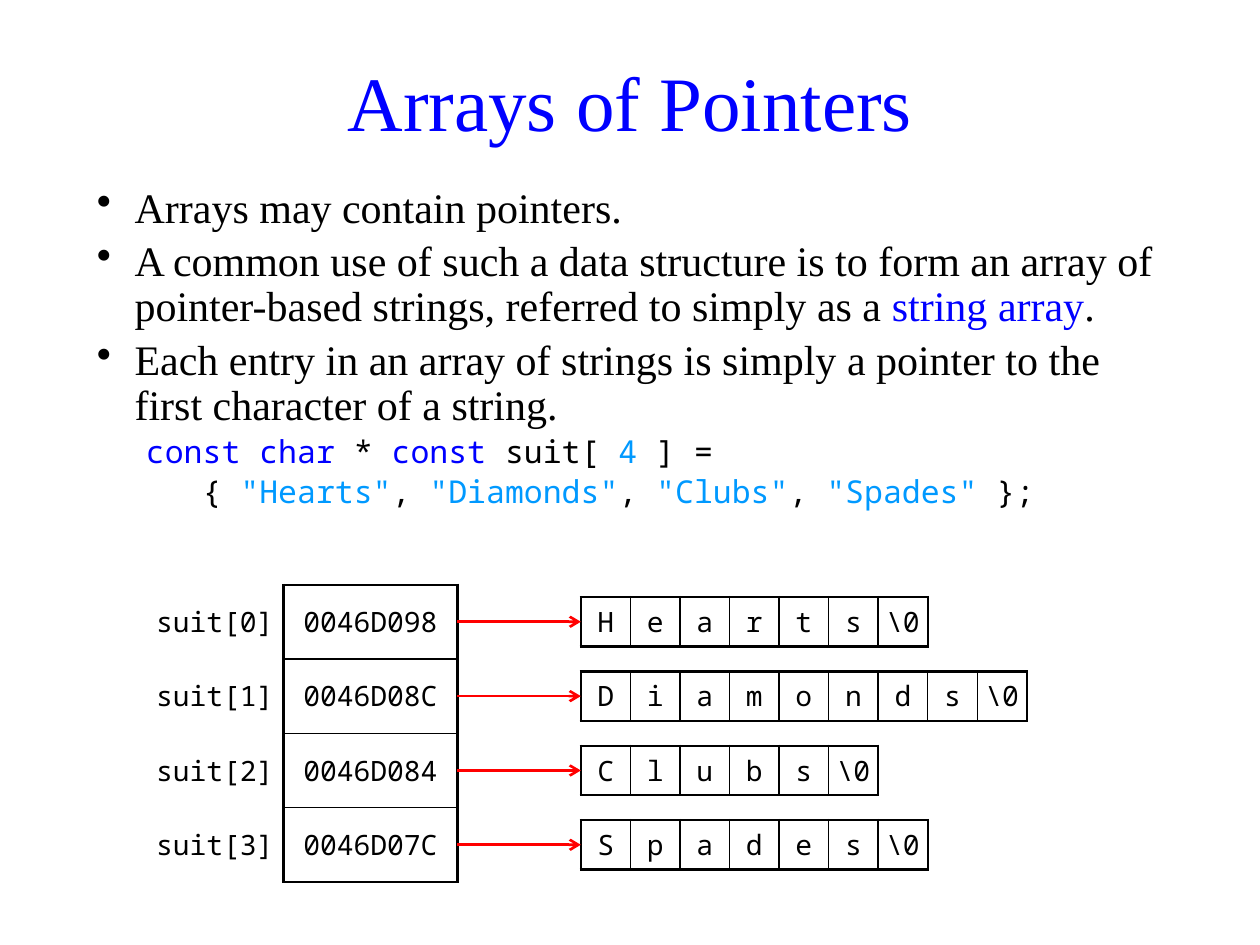
"""Build a slide that explains arrays of pointers."""
from lxml import etree
from pptx import Presentation, util as u
from pptx.dml.color import RGBColor
from pptx.enum import shapes, text
from pptx.oxml import ns

BLACK = RGBColor(0x00, 0x00, 0x00)
BLUE = RGBColor(0x00, 0x00, 0xFF)
SKY = RGBColor(0x00, 0x99, 0xFF)
RED = RGBColor(0xFF, 0x00, 0x00)
SERIF = "Times New Roman"
MONO = "Noto Sans Mono"

BULLETS = [
    [("Arrays may contain pointers.", BLACK)],
    [("A common use of such a data structure is to form an array of "
      "pointer-based strings, referred to simply as a ", BLACK),
     ("string array", BLUE), (".", BLACK)],
    [("Each entry in an array of strings is simply a pointer to the "
      "first character of a string.", BLACK)],
]
CODE = [
    [("const char", BLUE), (" * ", BLACK), ("const ", BLUE),
     ("suit[ ", BLACK), ("4", SKY), (" ] =", BLACK)],
    [("   { ", BLACK), ('"Hearts"', SKY), (", ", BLACK),
     ('"Diamonds"', SKY), (", ", BLACK), ('"Clubs"', SKY), (", ", BLACK),
     ('"Spades"', SKY), (" };", BLACK)],
]
SUITS = [("Hearts", "0046D098"), ("Diamonds", "0046D08C"),
         ("Clubs", "0046D084"), ("Spades", "0046D07C")]

TABLE_LEFT, TABLE_TOP = 0.87, 4.64
COLUMN, ROW = 1.38, 0.59
CELL = ROW * 2 / 3
STRING_LEFT = 4.61
THICK, THIN = 1.5, 1


def set_attributes(target, values):
    """Set each named attribute of an object."""
    for name, value in values.items():
        setattr(target, name, value)


def add_span(para, words, font, size, color):
    """Add one formatted run to a paragraph."""
    span = para.add_run()
    span.text = words
    set_attributes(span.font, {"name": font, "size": u.Pt(size)})
    span.font.color.rgb = color


def set_indent(para, left, first, bullet=None):
    """Set the indents of a paragraph and its bullet, if any."""
    props = para._p.get_or_add_pPr()
    props.set("marL", str(u.Inches(left)))
    props.set("indent", str(u.Inches(first)))
    if bullet:
        etree.SubElement(props, ns.qn("a:buChar"), char=bullet)


def add_title(page, words):
    """Fill, move and format the title placeholder."""
    title = page.shapes.title
    set_attributes(title, {"left": u.Inches(0.47), "top": u.Inches(0.21),
                           "width": u.Inches(9.06), "height": u.Inches(1.18)})
    title.text_frame.vertical_anchor = text.MSO_ANCHOR.MIDDLE
    para = title.text_frame.paragraphs[0]
    para.alignment = text.PP_ALIGN.CENTER
    add_span(para, words, SERIF, 44, BLUE)


def add_body(page):
    """Add the bulleted points and the code below them."""
    box = page.shapes.add_textbox(u.Inches(0.67), u.Inches(1.39),
                                  u.Inches(8.66), u.Inches(2.95))
    frame = box.text_frame
    frame.word_wrap = True
    styles = [(BULLETS, SERIF, 24, (0.3, -0.3, "•")), (CODE, MONO, 18, (0.39, 0))]
    para = None
    for lines, font, size, indent in styles:
        for spans in lines:
            first = para is None
            para = frame.paragraphs[0] if first else frame.add_paragraph()
            set_attributes(para, {"line_spacing": 1.0 if first else 0.9,
                                  "space_before": u.Pt(0 if first else size / 5)})
            set_indent(para, *indent)
            for words, color in spans:
                add_span(para, words, font, size, color)


def add_grid(page, left, top, rows, column, row):
    """Add a plain table with equal cells and return it."""
    count = len(rows[0])
    frame = page.shapes.add_table(len(rows), count, u.Inches(left), u.Inches(top),
                                  u.Inches(column * count), u.Inches(row * len(rows)))
    table = frame.table
    set_attributes(table, {"first_row": False, "horz_banding": False})
    for line in table.columns:
        line.width = u.Inches(column)
    for line in table.rows:
        line.height = u.Inches(row)
    return table


def fill_cell(cell, words, align, inset, borders):
    """Write a cell and draw the borders given by side and width."""
    side_inset, end_inset = map(u.Inches, inset)
    set_attributes(cell, {"margin_left": side_inset, "margin_right": side_inset,
                          "margin_top": end_inset, "margin_bottom": end_inset,
                          "vertical_anchor": text.MSO_ANCHOR.MIDDLE})
    props = cell._tc.get_or_add_tcPr()
    for side in "LRTB":
        if side in borders:
            line = etree.SubElement(props, ns.qn("a:ln" + side),
                                    w=str(u.Pt(borders[side])))
            solid = etree.SubElement(line, ns.qn("a:solidFill"))
            etree.SubElement(solid, ns.qn("a:srgbClr"), val=str(BLACK))
    cell.fill.background()
    para = cell.text_frame.paragraphs[0]
    para.alignment = align
    add_span(para, words, MONO, 16, BLACK)


def add_pointers(page):
    """Add the table of array entries and the addresses they hold."""
    rows = [(f"suit[{i}]", address) for i, (_, address) in enumerate(SUITS)]
    table = add_grid(page, TABLE_LEFT, TABLE_TOP, rows, COLUMN, ROW)
    last = len(rows) - 1
    for i, (label, address) in enumerate(rows):
        fill_cell(table.cell(i, 0), label, text.PP_ALIGN.RIGHT, (0.08, 0.05),
                  {"R": THICK})
        fill_cell(table.cell(i, 1), address, text.PP_ALIGN.CENTER, (0.08, 0.05),
                  {"L": THICK, "R": THICK, "T": THIN if i else THICK,
                   "B": THIN if i < last else THICK})


def add_string(page, word, middle):
    """Add a row of character cells that ends with the null character."""
    characters = [*word, "\\0"]
    table = add_grid(page, STRING_LEFT, middle - CELL / 2, [characters], CELL, CELL)
    last = len(characters) - 1
    for i, character in enumerate(characters):
        fill_cell(table.cell(0, i), character, text.PP_ALIGN.CENTER, (0, 0),
                  {"L": THIN if i else THICK, "R": THIN if i < last else THICK,
                   "T": THICK, "B": THICK})


def add_arrow(page, middle):
    """Add a red arrow from an address to its string."""
    arrow = page.shapes.add_connector(
        shapes.MSO_CONNECTOR.STRAIGHT, u.Inches(TABLE_LEFT + 2 * COLUMN),
        u.Inches(middle), u.Inches(STRING_LEFT), u.Inches(middle))
    arrow.line.color.rgb = RED
    arrow.line.width = u.Pt(THICK)
    etree.SubElement(arrow.line._get_or_add_ln(), ns.qn("a:tailEnd"),
                     type="arrow", w="med", len="med")
    etree.SubElement(arrow._element.spPr, ns.qn("a:effectLst"))


def main():
    """Build and save the deck."""
    deck = Presentation()
    set_attributes(deck, {"slide_width": u.Inches(10), "slide_height": u.Inches(7.5)})
    page = deck.slides.add_slide(deck.slide_layouts[5])
    add_title(page, "Arrays of Pointers")
    add_body(page)
    add_pointers(page)
    middles = [TABLE_TOP + ROW * (i + 0.5) for i in range(len(SUITS))]
    for (word, _), middle in zip(SUITS, middles):
        add_string(page, word, middle)
    for middle in middles:
        add_arrow(page, middle)
    deck.save("out.pptx")


if __name__ == "__main__":
    main()
